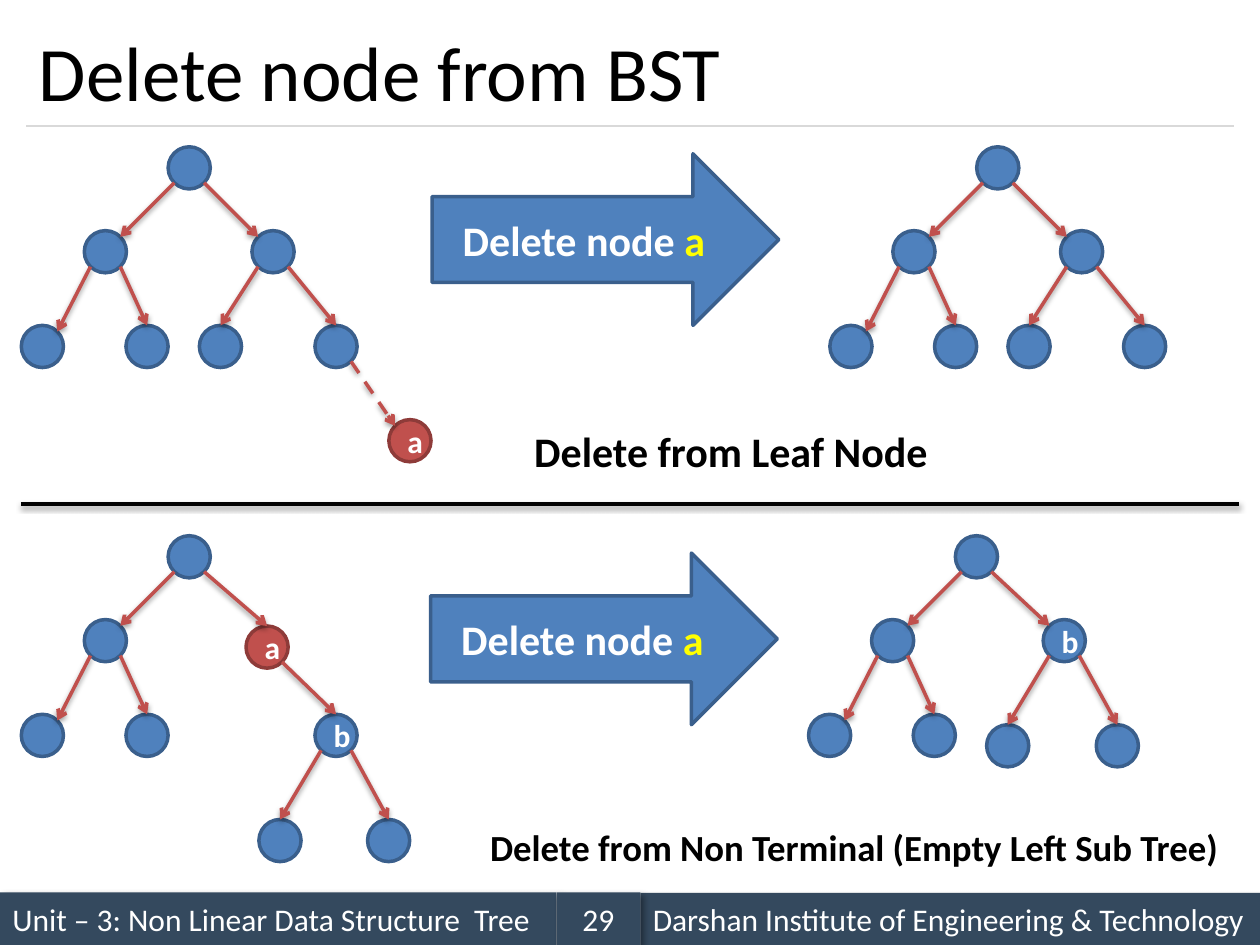
from dataclasses import dataclass
from math import sqrt

from lxml.etree import SubElement
from pptx import Presentation
from pptx.dml.color import RGBColor
from pptx.enum.dml import MSO_LINE
from pptx.enum.shapes import MSO_CONNECTOR, MSO_SHAPE
from pptx.enum.text import MSO_ANCHOR, MSO_AUTO_SIZE, PP_ALIGN
from pptx.oxml.ns import qn
from pptx.util import Cm, Pt


@dataclass(frozen=True)
class Theme:
    font: str = "Calibri"
    black: str = "000000"
    white: str = "FFFFFF"
    yellow: str = "FFFF00"
    blue: str = "4F81BD"
    navy: str = "3A5F8C"
    red: str = "C0504D"
    dark: str = "8E3B39"
    slate: str = "34495E"
    grey: str = "D9D9D9"
    head: float = 44
    large: float = 24
    note: float = 21
    small: float = 18


theme = Theme()


def write(frame, text, size=theme.small, tint=theme.white, bold=False,
          align=PP_ALIGN.LEFT, anchor=MSO_ANCHOR.MIDDLE, wrap=True):
    frame.word_wrap = wrap
    frame.vertical_anchor = anchor
    line = frame.paragraphs[0]
    line.alignment = align
    run = line.add_run()
    run.text = text
    run.font.name = theme.font
    run.font.size = Pt(size)
    run.font.bold = bold
    run.font.color.rgb = RGBColor.from_string(tint)


def shade(item, blur, gap, turn, alpha):
    props = item._element.spPr
    group = props.find(qn("a:effectLst"))
    if group is None:
        group = SubElement(props, qn("a:effectLst"))
    if alpha:
        cast = SubElement(group, qn("a:outerShdw"), blurRad=str(Pt(blur)), dist=str(Pt(gap)),
                          dir=str(turn * 60000), algn="tl", rotWithShape="0")
        tone = SubElement(cast, qn("a:srgbClr"), val=theme.black)
        SubElement(tone, qn("a:alpha"), val=str(alpha * 1000))


deck = Presentation()
deck.slide_width, deck.slide_height = Cm(25.4), Cm(19.05)
slide = deck.slides.add_slide(deck.slide_layouts[5])
shapes = slide.shapes

title = shapes.title
title.left, title.top, title.width, title.height = Cm(0.53), Cm(0.3), Cm(24.34), Cm(2.24)
write(title.text_frame, "Delete node from BST", size=theme.head, tint=theme.black)

for text, left, top, width, align in [
    ("Unit – 3: Non Linear Data Structure  Tree", 0, 17.99, 11.22, PP_ALIGN.LEFT),
    ("Darshan Institute of Engineering & Technology", 12.91, 18, 12.49, PP_ALIGN.LEFT),
    ("29", 11.22, 17.99, 1.69, PP_ALIGN.CENTER),
]:
    bar = shapes.add_shape(MSO_SHAPE.RECTANGLE, Cm(left), Cm(top), Cm(width), Cm(1.06))
    bar.shadow.inherit = False
    bar.fill.solid()
    bar.fill.fore_color.rgb = RGBColor.from_string(theme.slate)
    bar.line.fill.background()
    shade(bar, 4, 3, 45, 40)
    write(bar.text_frame, text, align=align)

# Node: label, offset from root, parent, side of the top where the arrow lands
base = [("", 0, 0, None, 0), ("", -1.69, 1.69, 0, 1),
        ("", -2.96, 3.6, 1, 1), ("", -0.85, 3.6, 1, 0)]
full = base + [("", 1.69, 1.69, 0, -1), ("", 0.63, 3.6, 4, 0), ("", 2.96, 3.6, 4, 0)]
trees = [
    (3.39, 2.96, full + [("a", 4.45, 5.5, 6, -1)]),
    (19.69, 2.96, full),
    (3.39, 10.8, base + [("a", 1.57, 1.82, 0, 0), ("b", 2.96, 3.6, 4, 0),
                         ("", 1.83, 5.72, 5, 0), ("", 4.02, 5.72, 5, 0)]),
    (19.26, 10.8, base + [("b", 1.77, 1.69, 0, -1), ("", 0.63, 3.81, 4, 0),
                          ("", 2.84, 3.81, 4, 0)]),
]
size = 0.85
half = size / 2
slant = half / sqrt(2)
links = [(0.53, 2.54, 24.87, 2.54, theme.grey, 0.75, False),
         (0.42, 10.16, 24.98, 10.16, theme.black, 2, False)]

for left, top, nodes in trees:
    for label, x, y, parent, side in nodes:
        fill, edge = (theme.red, theme.dark) if label == "a" else (theme.blue, theme.navy)
        node = shapes.add_shape(MSO_SHAPE.OVAL, Cm(left + x), Cm(top + y), Cm(size), Cm(size))
        node.shadow.inherit = False
        node.fill.solid()
        node.fill.fore_color.rgb = RGBColor.from_string(fill)
        node.line.color.rgb = RGBColor.from_string(edge)
        node.line.width = Pt(2)
        if label:
            write(node.text_frame, label, bold=True, align=PP_ALIGN.CENTER)
        if parent is None:
            continue
        px, py = nodes[parent][1:3]
        way = 1 if x > px else -1
        links.append((left + px + half + way * slant, top + py + half + slant,
                      left + x + half + side * slant,
                      top + y + half - (slant if side else half),
                      theme.red, 2, label == "a" and parent == 6))

for x1, y1, x2, y2, tint, width, dash in links:
    link = shapes.add_connector(MSO_CONNECTOR.STRAIGHT, Cm(x1), Cm(y1), Cm(x2), Cm(y2))
    link.line.color.rgb = RGBColor.from_string(tint)
    link.line.width = Pt(width)
    if dash:
        link.line.dash_style = MSO_LINE.DASH
    if tint == theme.red:
        SubElement(link.line._get_or_add_ln(), qn("a:tailEnd"), type="arrow")
    shade(link, 3.1, 1.6, 90, 0 if tint == theme.grey else 38)

for left, top in [(8.71, 3.1), (8.68, 11.15)]:
    arrow = shapes.add_shape(MSO_SHAPE.RIGHT_ARROW, Cm(left), Cm(top), Cm(6.99), Cm(3.46))
    arrow.shadow.inherit = False
    arrow.fill.solid()
    arrow.fill.fore_color.rgb = RGBColor.from_string(theme.blue)
    arrow.line.color.rgb = RGBColor.from_string(theme.navy)
    arrow.line.width = Pt(2)
    for text, tint in [("Delete node ", theme.white), ("a", theme.yellow)]:
        write(arrow.text_frame, text, size=theme.large, tint=tint, bold=True,
              align=PP_ALIGN.CENTER)

for text, left, top, width, height, point in [
    ("Delete from Leaf Node", 10.52, 8.46, 8.53, 1.27, theme.large),
    ("Delete from Non Terminal (Empty Left Sub Tree)", 9.63, 16.51, 15.37, 1.14, theme.note),
]:
    box = shapes.add_textbox(Cm(left), Cm(top), Cm(width), Cm(height))
    write(box.text_frame, text, size=point, tint=theme.black, bold=True,
          anchor=MSO_ANCHOR.TOP, wrap=False)
    box.text_frame.auto_size = MSO_AUTO_SIZE.SHAPE_TO_FIT_TEXT

deck.save("out.pptx")
